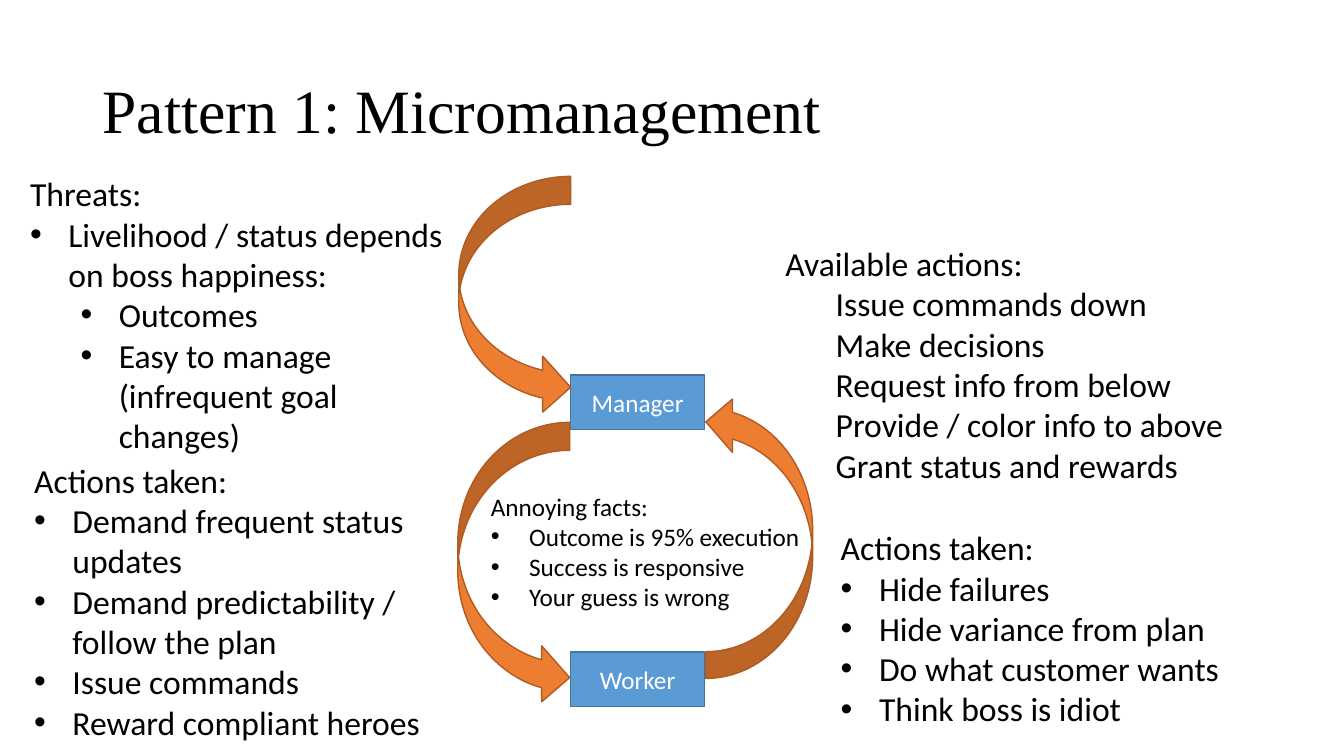
from lxml.etree import SubElement
from pptx import Presentation
from pptx.dml.color import RGBColor
from pptx.enum.shapes import MSO_SHAPE
from pptx.enum.text import MSO_ANCHOR, MSO_AUTO_SIZE, PP_ALIGN
from pptx.oxml.ns import qn
from pptx.util import Inches, Pt

BLACK = RGBColor(0x00, 0x00, 0x00)
WHITE = RGBColor(0xFF, 0xFF, 0xFF)
BLUE = RGBColor(0x5B, 0x9B, 0xD5)
NAVY = RGBColor(0x43, 0x73, 0x9E)
ORANGE = RGBColor(0xED, 0x7D, 0x31)
RUST = RGBColor(0xAF, 0x5C, 0x24)

HANG = 0.38
STEP = 0.5

# Each list: box, text size, heading, (level, item) pairs
THREATS = (0.2, 1.67, 4.35, 2.93), 24, "Threats:", [
    (0, "Livelihood / status depends on boss happiness:"),
    (1, "Outcomes"),
    (1, "Easy to manage (infrequent goal changes)"),
]
FACTS = (4.77, 4.82, 3.29, 1.31), 18, "Annoying facts:", [
    (0, "Outcome is 95% execution"),
    (0, "Success is responsive"),
    (0, "Your guess is wrong"),
]
ORDERS = (0.24, 4.51, 4.35, 2.93), 24, "Actions taken:", [
    (0, "Demand frequent status updates"),
    (0, "Demand predictability / follow the plan"),
    (0, "Issue commands"),
    (0, "Reward compliant heroes"),
]
REPLIES = (8.24, 5.18, 4.35, 2.12), 24, "Actions taken:", [
    (0, "Hide failures"),
    (0, "Hide variance from plan"),
    (0, "Do what customer wants"),
    (0, "Think boss is idiot"),
]
OPTIONS = (7.69, 2.36, 4.58, 2.52), 24, "Available actions:", [
    (1, "Issue commands down"),
    (1, "Make decisions"),
    (1, "Request info from below"),
    (1, "Provide / color info to above"),
    (1, "Grant status and rewards"),
]


def add_run(para, text, size, color=BLACK, font="Calibri"):
    run = para.add_run()
    run.text = text
    run.font.size = Pt(size)
    run.font.name = font
    run.font.color.rgb = color


def indent(para, level, bullet):
    """Indent by level, with a hanging bullet if asked for."""
    para.level = level
    hang = HANG if bullet else 0
    props = para._p.get_or_add_pPr()
    props.set("marL", str(Inches(level * STEP + hang)))
    props.set("indent", str(-Inches(hang)))
    if bullet:
        SubElement(props, qn("a:buFont"), typeface="Arial")
        SubElement(props, qn("a:buChar"), char="•")


def add_title(slide, box, text):
    frame = slide.shapes.add_textbox(*map(Inches, box)).text_frame
    frame.word_wrap = True
    frame.vertical_anchor = MSO_ANCHOR.MIDDLE
    para = frame.paragraphs[0]
    para.line_spacing = 0.9
    add_run(para, text, 44, font="Times New Roman")


def add_list(slide, box, size, head, items, bullet=True):
    frame = slide.shapes.add_textbox(*map(Inches, box)).text_frame
    frame.word_wrap = bullet
    frame.auto_size = MSO_AUTO_SIZE.SHAPE_TO_FIT_TEXT
    add_run(frame.paragraphs[0], head, size)
    for level, text in items:
        para = frame.add_paragraph()
        indent(para, level, bullet)
        add_run(para, text, size)


def add_figure(slide, kind, box, fill, line):
    shape = slide.shapes.add_shape(kind, *map(Inches, box))
    shape.shadow.inherit = False
    shape.fill.solid()
    shape.fill.fore_color.rgb = fill
    shape.line.color.rgb = line
    shape.line.width = Pt(1)
    return shape


def add_role(slide, box, name):
    frame = add_figure(slide, MSO_SHAPE.RECTANGLE, box, BLUE, NAVY).text_frame
    frame.vertical_anchor = MSO_ANCHOR.MIDDLE
    para = frame.paragraphs[0]
    para.alignment = PP_ALIGN.CENTER
    add_run(para, name, 18, WHITE)


def add_loop(slide, box, turn=0):
    arrow = add_figure(slide, MSO_SHAPE.CURVED_RIGHT_ARROW, box, ORANGE, RUST)
    arrow.rotation = turn


def main():
    deck = Presentation()
    deck.slide_width = Inches(13.33)
    deck.slide_height = Inches(7.5)
    slide = deck.slides.add_slide(deck.slide_layouts[6])

    add_title(slide, (0.92, 0.4, 11.5, 1.45), "Pattern 1: Micromanagement")
    for name, top in (("Manager", 3.72), ("Worker", 6.47)):
        add_role(slide, (5.66, top, 1.33, 0.54), name)
    add_loop(slide, (4.55, 1.75, 1.11, 2.37))
    add_loop(slide, (4.54, 4.19, 1.11, 2.81))
    add_loop(slide, (7, 3.92, 1.06, 2.81), 180)
    add_list(slide, *OPTIONS, bullet=False)
    for block in (THREATS, FACTS, ORDERS, REPLIES):
        add_list(slide, *block)

    deck.save("out.pptx")


if __name__ == "__main__":
    main()
